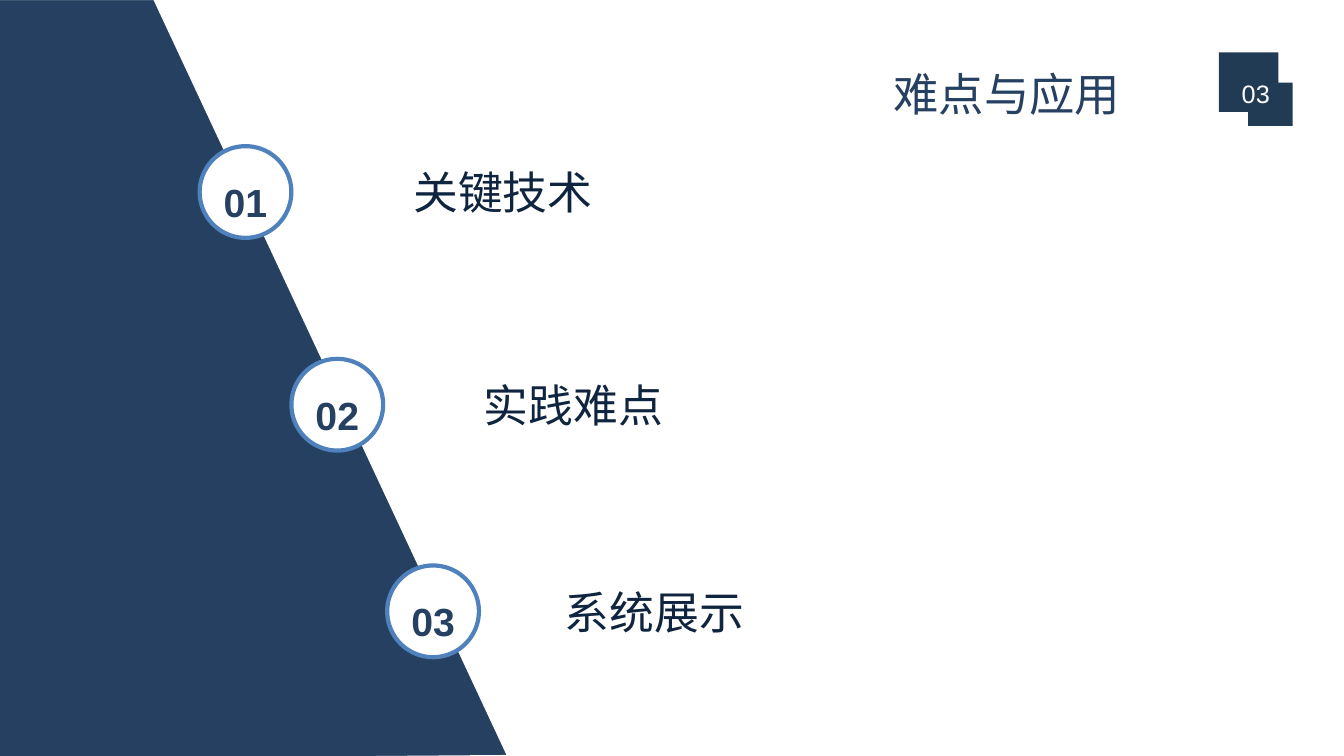
import pptx
import pptx.util
import pptx.dml.color
import pptx.enum.shapes
import pptx.enum.text

Inches, Pt = pptx.util.Inches, pptx.util.Pt
RGBColor = pptx.dml.color.RGBColor
Anchor = pptx.enum.text.MSO_ANCHOR
Align = pptx.enum.text.PP_ALIGN

NAVY = RGBColor(0x25, 0x40, 0x61)
INK = RGBColor(0x0F, 0x24, 0x3E)
SLATE = RGBColor(0x21, 0x3B, 0x55)
BLUE = RGBColor(0x4F, 0x81, 0xBD)
WHITE = RGBColor(0xFF, 0xFF, 0xFF)

WIDTH, HEIGHT = 13.33, 7.5
TITLE = "难点与应用"
CHAPTER = "03"
TOPICS = [
    ("01", "关键技术", 1.98, 1.45, 4.1),
    ("02", "实践难点", 2.89, 3.56, 4.8),
    ("03", "系统展示", 3.84, 5.61, 5.6),
]
CIRCLE = 0.91
NUMBER_WIDTH, NUMBER_HEIGHT = 0.74, 0.65
LABEL_WIDTH = 3
BADGE_LEFT, BADGE_TOP, BADGE_SIZE = 12.09, 0.52, 0.73
PANEL = [(-0.03, -0.01), (1.53, -0.01), (5.04, 7.5), (-0.01, 7.54)]
BADGE = [(0, 0), (0.59, 0), (0.59, 0.3), (0.73, 0.3),
         (0.73, 0.73), (0.29, 0.73), (0.29, 0.59), (0, 0.59)]


def write(shape, text, size, color, align=Align.CENTER, anchor=Anchor.TOP,
          bold=False, spacing=1.3):
    frame = shape.text_frame
    frame.word_wrap = True
    frame.vertical_anchor = anchor
    paragraph = frame.paragraphs[0]
    paragraph.text = text
    paragraph.alignment = align
    paragraph.line_spacing = spacing
    font = paragraph.font
    font.name, font.size, font.bold = "Arial", Pt(size), bold
    font.color.rgb = color
    return frame


def add_text(shapes, left, top, width, height, *args, **style):
    box = shapes.add_textbox(*map(Inches, (left, top, width, height)))
    return write(box, *args, **style)


def paint(shape, fill, line=None, weight=0):
    shape.shadow.inherit = False
    shape.fill.solid()
    shape.fill.fore_color.rgb = fill
    if line is None:
        shape.line.fill.background()
    else:
        shape.line.color.rgb = line
        shape.line.width = Pt(weight)


def add_outline(shapes, points):
    start, *rest = [(Inches(x), Inches(y)) for x, y in points]
    builder = shapes.build_freeform(*start)
    builder.add_line_segments(rest, close=True)
    return builder.convert_to_shape()


def main():
    deck = pptx.Presentation()
    deck.slide_width, deck.slide_height = Inches(WIDTH), Inches(HEIGHT)
    shapes = deck.slides.add_slide(deck.slide_layouts[6]).shapes

    add_text(shapes, 7.04, BADGE_TOP, 5.89, BADGE_SIZE, TITLE, 32.4, NAVY,
             anchor=Anchor.BOTTOM)
    paint(add_outline(shapes, PANEL), NAVY, WHITE, 1.5)

    for number, topic, left, top, label_left in TOPICS:
        circle = shapes.add_shape(pptx.enum.shapes.MSO_SHAPE.OVAL,
                                  Inches(left), Inches(top),
                                  Inches(CIRCLE), Inches(CIRCLE))
        paint(circle, WHITE, BLUE, 3)
        add_text(shapes, left + (CIRCLE - NUMBER_WIDTH) / 2,
                 top + (CIRCLE - NUMBER_HEIGHT) / 2,
                 NUMBER_WIDTH, NUMBER_HEIGHT, number, 28, NAVY, bold=True)
        label = add_text(shapes, label_left, top, LABEL_WIDTH, CIRCLE, topic,
                         32, INK, align=Align.LEFT, anchor=Anchor.MIDDLE,
                         spacing=1.0)
        label.margin_left = 0

    badge = add_outline(shapes, [(BADGE_LEFT + x, BADGE_TOP + y)
                                 for x, y in BADGE])
    paint(badge, SLATE)
    write(badge, CHAPTER, 18, WHITE, anchor=Anchor.MIDDLE)

    deck.save("out.pptx")


if __name__ == "__main__":
    main()
